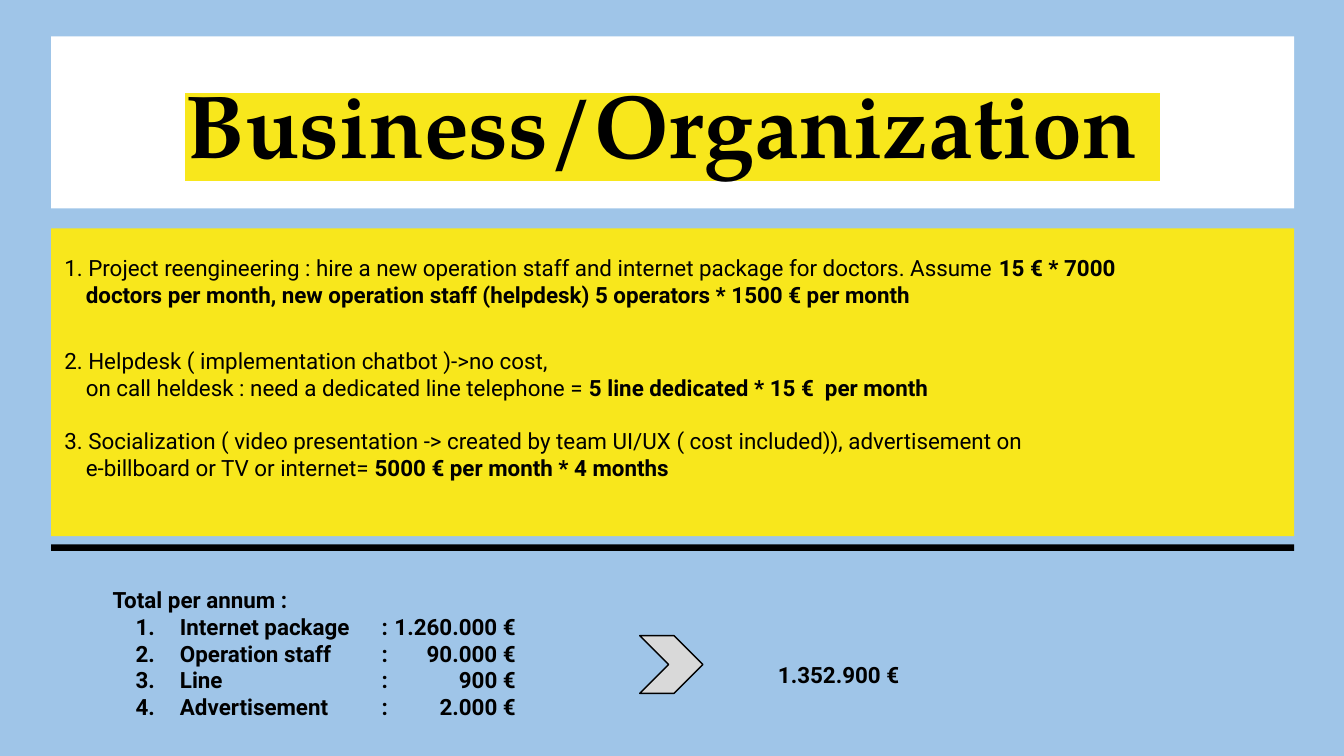
from lxml.etree import SubElement
from pptx import Presentation
from pptx.dml.color import RGBColor
from pptx.enum.shapes import MSO_SHAPE as Shape
from pptx.enum.text import MSO_ANCHOR as Anchor, MSO_AUTO_SIZE as AutoSize, PP_ALIGN as Align
from pptx.oxml.ns import qn
from pptx.util import Inches, Pt

BLUE, YELLOW, WHITE, BLACK, GREY = "9FC5E8", "F8E71C", "FFFFFF", "000000", "D9D9D9"
LEFT, WIDTH = 0.38, 9.25

PLANS = [
    (0, "1. Project reengineering : hire a new operation staff and internet package for doctors. Assume ",
     "15 € * 7000 \vdoctors per month, new operation staff (helpdesk) 5 operators * 1500 € per month"),
    (21, "2. Helpdesk ( implementation chatbot )->no cost, \v"
     "on call heldesk : need a dedicated line telephone = ",
     "5 line dedicated * 15 €  per month"),
    (14, "3. Socialization ( video presentation -> created by team UI/UX ( cost included)), "
     "advertisement on\ve-billboard or TV or internet= ",
     "5000 € per month * 4 months"),
]
COSTS = [
    ("Internet package", "1.260.000 €"),
    ("Operation staff", "90.000 €"),
    ("Line", "900 €"),
    ("Advertisement", "2.000 €"),
]


def paint(target, colour):
    target.solid()
    target.fore_color.rgb = RGBColor.from_string(colour)


def style(font, size=12, name="Roboto", bold=None):
    font.name, font.size, font.bold = name, Pt(size), bold
    paint(font.fill, BLACK)


def set_frame(frame, anchor=Anchor.TOP, top=0.1):
    frame.word_wrap = True
    frame.auto_size = AutoSize.NONE
    frame.vertical_anchor = anchor
    frame.margin_left = frame.margin_right = frame.margin_bottom = Inches(0.1)
    frame.margin_top = Inches(top)


def add_block(page, kind, left, top, width, height, colour):
    block = page.shapes.add_shape(kind, Inches(left), Inches(top), Inches(width), Inches(height))
    block.shadow.inherit = False
    paint(block.fill, colour)
    block.line.fill.background()
    return block


def add_text(page, left, top, width, height):
    box = page.shapes.add_textbox(Inches(left), Inches(top), Inches(width), Inches(height))
    set_frame(box.text_frame)
    return box.text_frame


def hang(para, margin, depth):
    properties = para._p.get_or_add_pPr()
    properties.set("marL", str(Inches(margin)))
    properties.set("indent", str(-Inches(depth)))
    return properties


def number(para, tabs):
    properties = hang(para, 0.5, 0.33)
    SubElement(properties, qn("a:buFont"), typeface="Roboto")
    SubElement(properties, qn("a:buAutoNum"), type="arabicPeriod")
    stops = SubElement(properties, qn("a:tabLst"))
    for position, side in tabs:
        SubElement(stops, qn("a:tab"), pos=str(Inches(position)), algn=side)


def add_title(page, text):
    title = page.shapes.title
    title.left, title.top = Inches(LEFT), Inches(0.27)
    title.width, title.height = Inches(WIDTH), Inches(1.28)
    paint(title.fill, WHITE)
    set_frame(title.text_frame, Anchor.MIDDLE)
    para = title.text_frame.paragraphs[0]
    para.alignment = Align.CENTER
    span = para.add_run()
    span.text = text
    paint(span.font.fill, BLACK)
    highlight = SubElement(span._r.get_or_add_rPr(), qn("a:highlight"))
    SubElement(highlight, qn("a:srgbClr"), val=YELLOW)
    style(para.font, 48, "TeX Gyre Pagella", True)


def add_plans(page):
    panel = add_block(page, Shape.RECTANGLE, LEFT, 1.7, WIDTH, 2.29, YELLOW)
    frame = panel.text_frame
    set_frame(frame, top=0.19)
    for index, (gap, plain, strong) in enumerate(PLANS):
        para = frame.add_paragraph() if index else frame.paragraphs[0]
        para.alignment = Align.LEFT
        if gap:
            para.space_before = Pt(gap)
        hang(para, 0.16, 0.16)
        for text, bold in ((plain, False), (strong, True)):
            for part, line in enumerate(text.split("\v")):
                if part:
                    para.add_line_break()
                span = para.add_run()
                span.text = line
                span.font.bold = bold
        style(para.font)


def add_costs(page):
    frame = add_text(page, 0.74, 4.26, 8.02, 1.2)
    heading = frame.paragraphs[0]
    heading.text = "Total per annum :"
    style(heading.font, bold=True)
    for name, amount in COSTS:
        para = frame.add_paragraph()
        para.text = f"{name}\t:\t{amount}"
        number(para, [(2, "l"), (3, "r")])
        style(para.font, bold=True)


def add_sum(page):
    arrow = add_block(page, Shape.CHEVRON, 4.76, 4.73, 0.47, 0.43, GREY)
    paint(arrow.line.fill, BLACK)
    arrow.line.width = Pt(0.75)
    para = add_text(page, 5.69, 4.82, 8.02, 0.4).paragraphs[0]
    para.text = "1.352.900 €"
    style(para.font, bold=True)


def main():
    deck = Presentation()
    deck.slide_width, deck.slide_height = Inches(10), Inches(10 * 9 / 16)
    page = deck.slides.add_slide(deck.slide_layouts[5])
    paint(page.background.fill, BLUE)
    add_block(page, Shape.RECTANGLE, LEFT, 4.05, WIDTH, 0.05, BLACK)
    add_title(page, "Business/Organization ")
    add_plans(page)
    add_costs(page)
    add_sum(page)
    deck.save("out.pptx")


if __name__ == "__main__":
    main()
